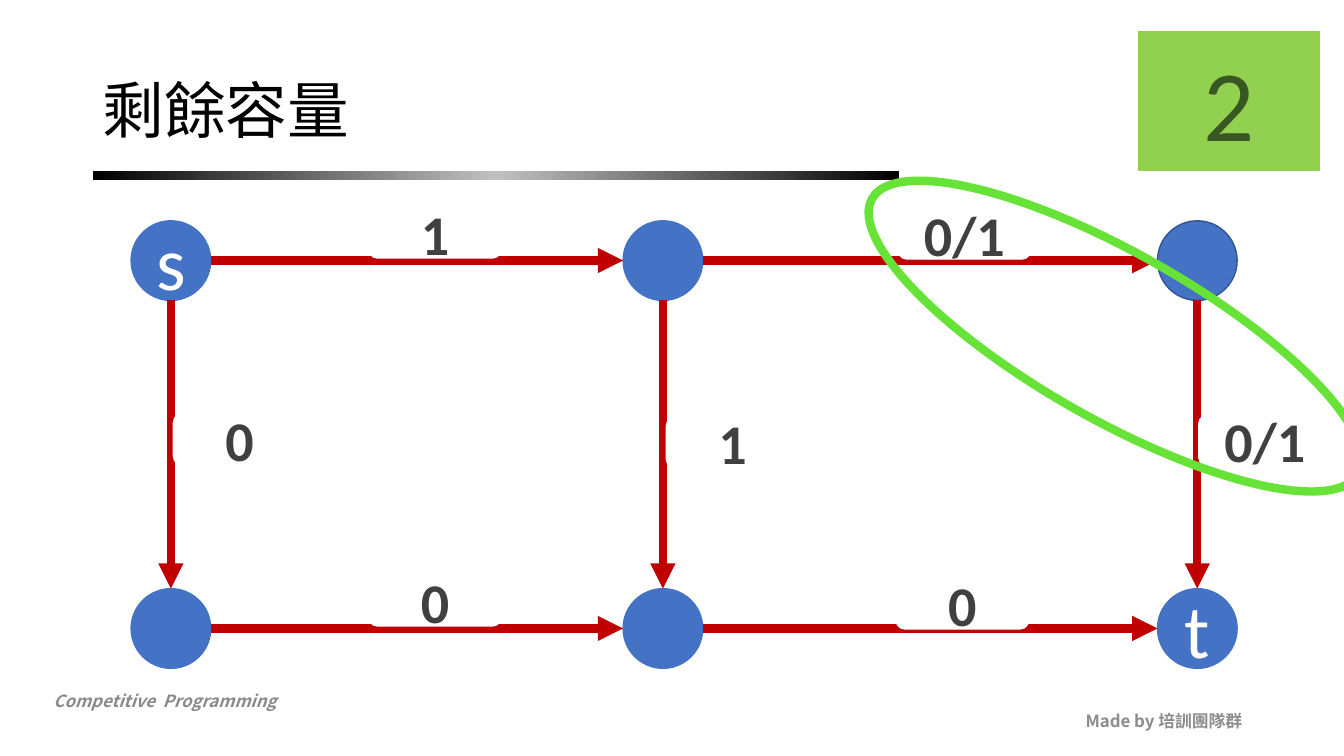
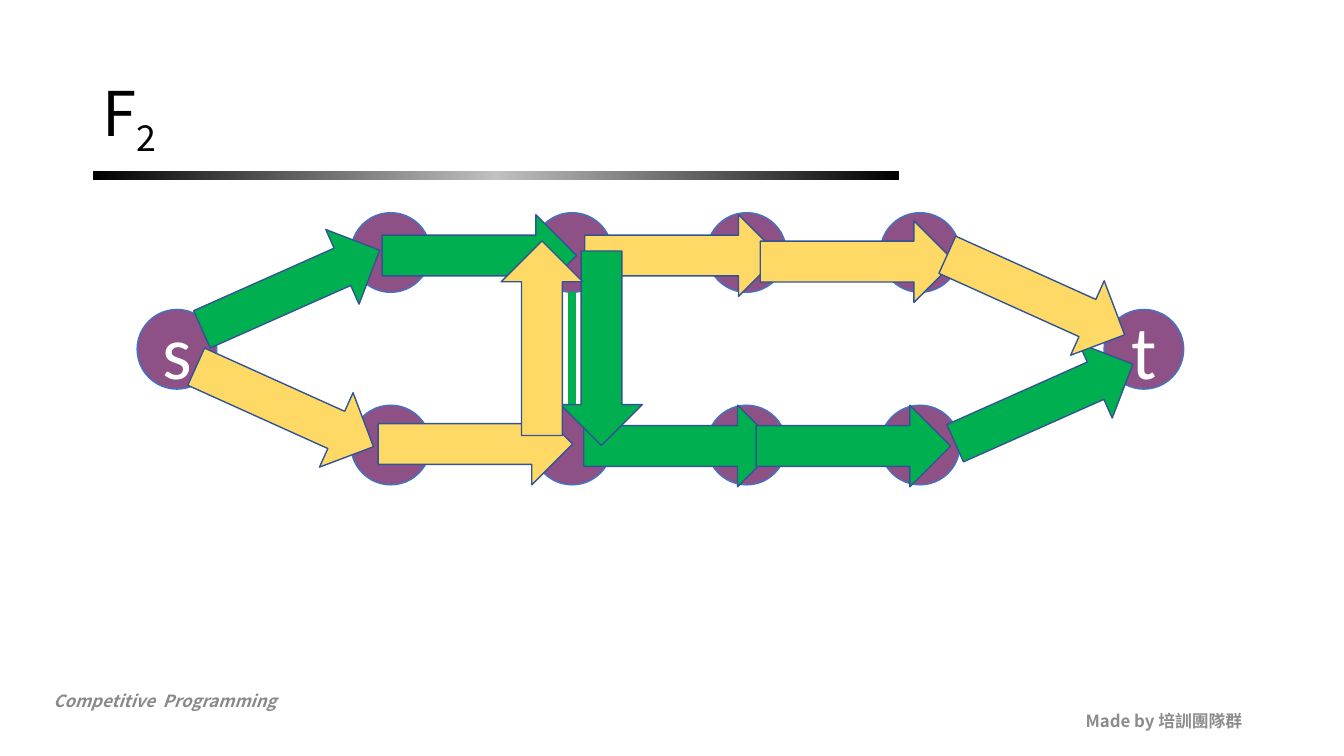
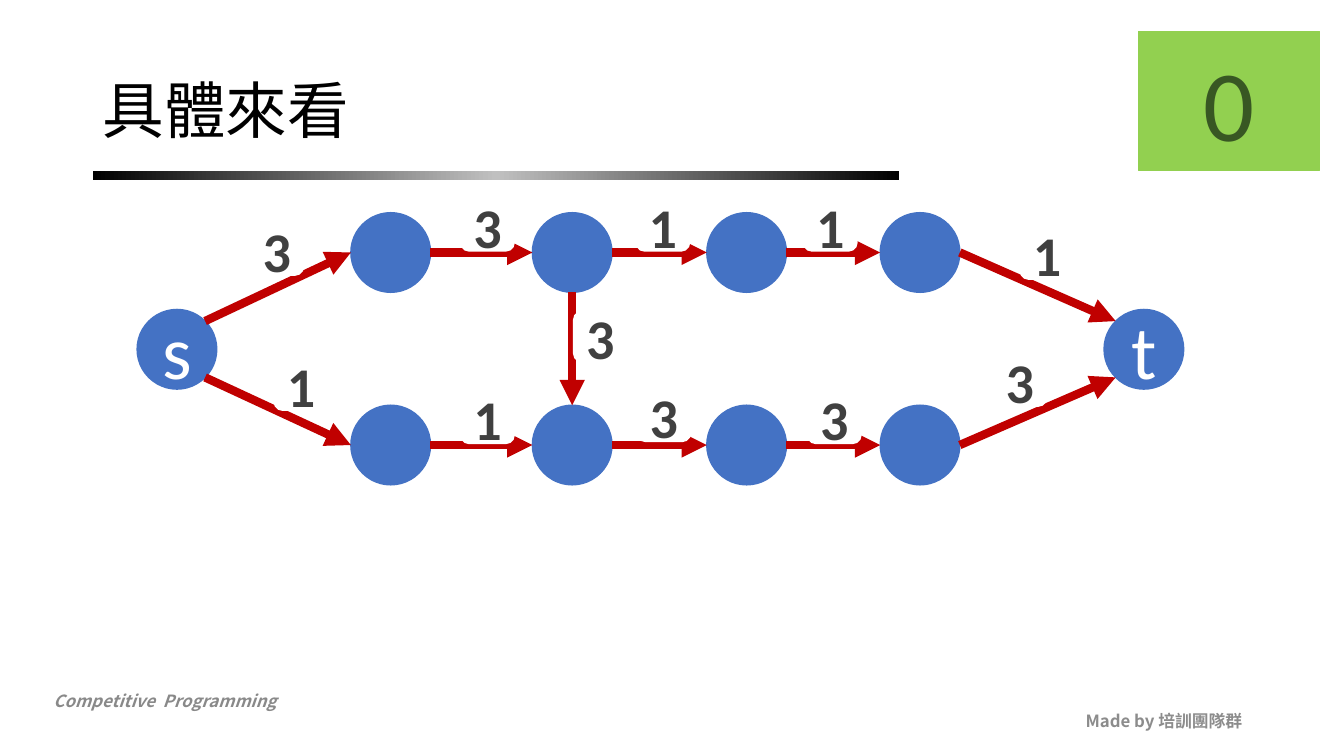
from copy import deepcopy
from math import cos, sin, radians

from pptx import Presentation
from pptx.dml.color import RGBColor
from pptx.enum.shapes import MSO_CONNECTOR as Conn, MSO_SHAPE as Kind
from pptx.enum.text import MSO_ANCHOR as Anchor, PP_ALIGN as Align
from pptx.oxml.ns import qn
from pptx.util import Inches, Pt

SANS, BODY = "Noto Sans CJK SC", "Calibri"
BLUE, NAVY, PLUM, RED = "4472C4", "325491", "8D5186", "C00000"
GREEN, GOLD, LIME, BRIGHT = "00B050", "FFD966", "92D050", "67E236"
MOSS, DARK, GREY, WHITE = "385723", "404040", "898989", "FFFFFF"
DIAM = 0.79
ANGLE = {"e": 0, "se": 45, "s": 90, "w": 180, "n": 270, "ne": 315}


# Shared helpers
def rgb(code):
    return RGBColor.from_string(code)


def write(para, text, size, color, font=BODY, bold=False, italic=False, base=0):
    run = para.add_run()
    run.text = text
    face = run.font
    face.size, face.bold, face.italic = Pt(size), bold, italic
    face.color.rgb = rgb(color)
    face.name = font
    props = run._r.get_or_add_rPr()
    props.append(props.makeelement(qn("a:ea"), {"typeface": font}))
    if base:
        props.set("baseline", str(base * 1000))


def area(slide, x, y, w, h, anchor=Anchor.MIDDLE, align=Align.LEFT):
    box = slide.shapes.add_textbox(Inches(x), Inches(y), Inches(w), Inches(h))
    box.text_frame.word_wrap = True
    box.text_frame.vertical_anchor = anchor
    para = box.text_frame.paragraphs[0]
    para.alignment = align
    return para


def shape(slide, kind, x, y, w, h, fill=None, line=None, width=1, turn=0):
    item = slide.shapes.add_shape(kind, Inches(x), Inches(y), Inches(w), Inches(h))
    item.shadow.inherit = False
    item.rotation = turn
    if fill:
        item.fill.solid()
        item.fill.fore_color.rgb = rgb(fill)
    else:
        item.fill.background()
    if line:
        item.line.color.rgb = rgb(line)
        item.line.width = Pt(width)
    else:
        item.line.fill.background()
    return item


def center(item, text, size, color, bold=False):
    item.text_frame.vertical_anchor = Anchor.MIDDLE
    para = item.text_frame.paragraphs[0]
    para.alignment = Align.CENTER
    write(para, text, size, color, bold=bold)


def link(slide, start, end, color, head):
    line = slide.shapes.add_connector(
        Conn.STRAIGHT, *[Inches(v) for v in (*start, *end)])
    line.line.color.rgb = rgb(color)
    line.line.width = Pt(6)
    props = line._element.spPr
    if head:
        stroke = line.line._get_or_add_ln()
        stroke.append(stroke.makeelement(qn("a:tailEnd"), {"type": "triangle"}))
    props.append(props.makeelement(qn("a:effectLst"), {}))


# Title, rule and footers of every slide
def rule(slide, x, y, w, h):
    bar = shape(slide, Kind.RECTANGLE, x, y, w, h)
    bar.fill.gradient()
    bar.fill.gradient_angle = 0
    stops = bar._element.spPr.find(qn("a:gradFill")).find(qn("a:gsLst"))
    stops.insert(1, deepcopy(stops[0]))
    shades = ((0, "000000"), (0.5, "C0C0C0"), (1, "000000"))
    for stop, (place, shade) in zip(bar.fill.gradient_stops, shades):
        stop.position = place
        stop.color.rgb = rgb(shade)


def frame(deck, title, sub=""):
    slide = deck.slides.add_slide(deck.slide_layouts[6])
    write(area(slide, 0.43, 6.8, 4.25, 0.3, Anchor.TOP),
          "Competitive  Programming", 12, GREY, SANS, True, True)
    write(area(slide, 9.42, 6.95, 3, 0.4, align=Align.RIGHT),
          "Made by 培訓團隊群", 12, "8C8C8C", SANS, True)
    rule(slide, 0.92, 1.7, 8, 0.09)
    head = area(slide, 0.92, 0.4, 11.5, 1.45)
    head.line_spacing = 0.9
    write(head, title, 44, "000000", SANS)
    if sub:
        write(head, sub, 44, "000000", SANS, base=-25)
    return slide


def badge(slide, text):
    box = shape(slide, Kind.RECTANGLE, 11.29, 0.31, 1.8, 1.38, LIME, LIME)
    center(box, text, 72, MOSS)


# Network: nodes and edges inside a box at x, y
def rim(x, y, side):
    turn, half = radians(ANGLE[side]), DIAM / 2
    return x + half + half * cos(turn), y + half + half * sin(turn)


def net(slide, x, y, nodes, edges, fill=BLUE, head=True):
    discs = {}
    for name, (dx, dy) in nodes.items():
        disc = shape(slide, Kind.OVAL, x + dx, y + dy, DIAM, DIAM, fill, BLUE)
        if name in ("s", "t"):
            center(disc, name, 54, WHITE)
        discs[name] = disc
    for first, out, last, into, color in edges:
        (ax, ay), (bx, by) = nodes[first], nodes[last]
        link(slide, rim(x + ax, y + ay, out), rim(x + bx, y + by, into),
             color, head)
    return discs


def tags(slide, x, y, w, items):
    for text, dx, dy in items:
        tag = shape(slide, Kind.ROUNDED_RECTANGLE, x + dx, y + dy, w, 0.5,
                    WHITE, WHITE)
        center(tag, text, 40, DARK, True)


def arrows(slide, x, y, items):
    for color, dx, dy, turn in items:
        shape(slide, Kind.RIGHT_ARROW, x + dx, y + dy, 1.93, 0.81,
              color, NAVY, turn=turn)


def flat(*names):
    return [(a, "e", b, "w", RED) for a, b in zip(names, names[1:])]


def down(first, last, color=RED):
    return (first, "s", last, "n", color)


# Two-row network with a source and a sink
def wide(slide, x, y, fill, mid, head):
    cols = (2.12, 3.92, 5.65, 7.37)
    nodes = {row + str(i): (dx, dy) for i, dx in enumerate(cols, 1)
             for row, dy in (("a", 0), ("b", 1.91))}
    nodes.update(s=(0, 0.96), t=(9.59, 0.96))
    edges = flat("a1", "a2", "a3", "a4") + flat("b1", "b2", "b3", "b4")
    edges += [("s", "ne", "a1", "w", RED), ("s", "se", "b1", "w", RED),
              down("a2", "b2", mid)]
    # The sink is met on its left diagonals, level with the source's
    discs = net(slide, x, y, nodes, edges, fill, head)
    tx, ty = nodes["t"]
    half = DIAM / 2
    gap = half * cos(radians(45))
    for name, sign in (("a4", -1), ("b4", 1)):
        end = (x + tx + half - gap, y + ty + half + sign * gap)
        nx, ny = nodes[name]
        link(slide, rim(x + nx, y + ny, "e"), end, RED, head)
    return discs


# Slides
def rest(deck):
    slide = frame(deck, "剩餘容量")
    x, y = 1.3, 2.19
    nodes = {"s": (0, 0), "a2": (4.88, 0), "a3": (10.18, 0),
             "b1": (0, 3.65), "b2": (4.88, 3.65), "t": (10.18, 3.65)}
    edges = flat("s", "a2", "a3") + flat("b1", "b2", "t")
    edges += [down("s", "b1"), down("a2", "b2"), down("a3", "t")]
    discs = net(slide, x, y, nodes, edges)
    discs["a3"].line.color.rgb = rgb(NAVY)
    badge(slide, "2")
    tags(slide, x, y, 1.31, [
        ("0/1", 7.61, -0.12), ("0/1", 10.59, 1.93), ("1", 2.36, -0.13),
        ("0", 2.36, 3.52), ("0", 0.42, 1.92), ("1", 5.31, 1.95),
        ("0", 7.59, 3.55)])
    shape(slide, Kind.OVAL, 8.29, 2.51, 5.54, 1.65, None, BRIGHT, 6, 29.5)


def flow(deck):
    slide = frame(deck, "F", "2")
    x, y = 1.36, 2.11
    wide(slide, x, y, PLUM, GREEN, False)
    arrows(slide, x, y, [
        (GREEN, 0.56, 0.36, 336), (GREEN, 2.43, 0.02, 0),
        (GREEN, 4.43, 1.91, 0), (GREEN, 6.14, 1.91, 0),
        (GREEN, 8.03, 1.49, 336),
        (GOLD, 0.5, 1.52, 24.3), (GOLD, 2.39, 1.89, 0),
        (GOLD, 4.44, 0.02, 0), (GOLD, 6.18, 0.08, 0),
        (GOLD, 7.95, 0.41, 24.3),
        (GREEN, 3.64, 0.94, 90), (GOLD, 3.05, 0.84, 270)])


def look(deck):
    slide = frame(deck, "具體來看")
    x, y = 1.36, 2.11
    wide(slide, x, y, BLUE, RED, True)
    tags(slide, x, y, 0.53, [
        ("3", 3.21, -0.12), ("3", 4.96, 1.77), ("3", 6.65, 1.79),
        ("3", 1.12, 0.12), ("1", 4.95, -0.12), ("1", 6.61, -0.12),
        ("1", 3.21, 1.79), ("1", 1.36, 1.46), ("1", 8.76, 0.16),
        ("3", 8.49, 1.42), ("3", 4.33, 0.98)])
    badge(slide, "0")


def main():
    deck = Presentation()
    deck.slide_width, deck.slide_height = Inches(13.33), Inches(7.5)
    for make in (rest, flow, look):
        make(deck)
    deck.save("out.pptx")


if __name__ == "__main__":
    main()
